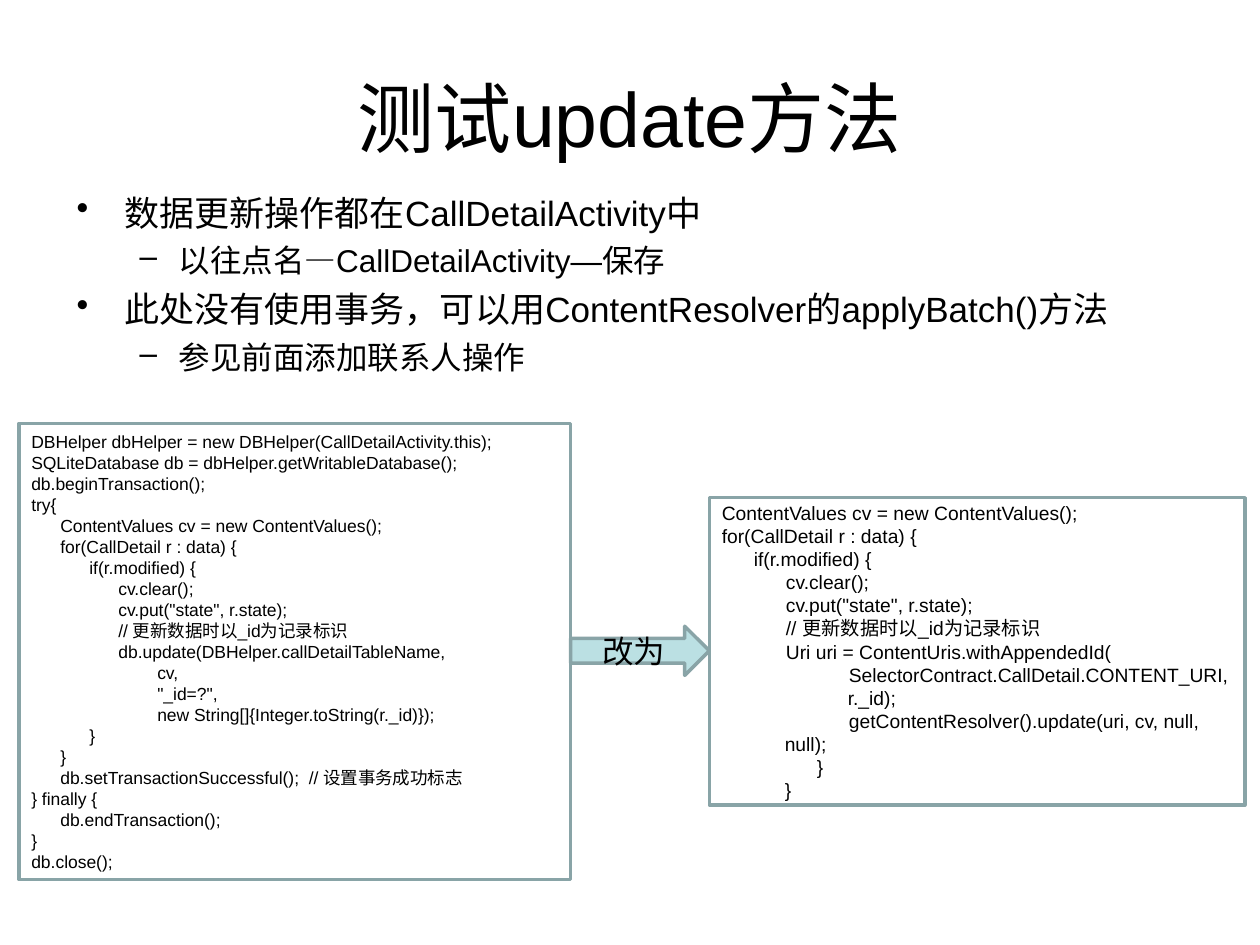
from pptx import Presentation
from pptx.dml.color import RGBColor
from pptx.enum.shapes import MSO_SHAPE
from pptx.enum.text import MSO_ANCHOR, PP_ALIGN
from pptx.oxml.xmlchemy import OxmlElement
from pptx.util import Inches, Pt

BLACK = RGBColor(0x00, 0x00, 0x00)
TEAL = RGBColor(0x89, 0xA4, 0xA7)
PALE = RGBColor(0xBB, 0xE0, 0xE3)
RECT = MSO_SHAPE.RECTANGLE
ARROW = MSO_SHAPE.RIGHT_ARROW
LEFT, CENTER = PP_ALIGN.LEFT, PP_ALIGN.CENTER
TOP, MIDDLE = MSO_ANCHOR.TOP, MSO_ANCHOR.MIDDLE

POINTS = [
    (0, "数据更新操作都在CallDetailActivity中"),
    (1, "以往点名—CallDetailActivity—保存"),
    (0, "此处没有使用事务，可以用ContentResolver的applyBatch()方法"),
    (1, "参见前面添加联系人操作"),
]
LEVELS = [("•", 20, 5, 0.38, 0.38), ("–", 18, 4.5, 0.81, 0.31)]

OLD = """DBHelper dbHelper = new DBHelper(CallDetailActivity.this);
SQLiteDatabase db = dbHelper.getWritableDatabase();
db.beginTransaction();
try{
      ContentValues cv = new ContentValues();
      for(CallDetail r : data) {
            if(r.modified) {
                  cv.clear();
                  cv.put("state", r.state);
                  // 更新数据时以_id为记录标识
                  db.update(DBHelper.callDetailTableName,
\tcv,
\t"_id=?",
\tnew String[]{Integer.toString(r._id)});
            }
      }
      db.setTransactionSuccessful();  // 设置事务成功标志
} finally {
      db.endTransaction();
}
db.close();"""

NEW = """ContentValues cv = new ContentValues();
for(CallDetail r : data) {
      if(r.modified) {
            cv.clear();
            cv.put("state", r.state);
            // 更新数据时以_id为记录标识
            Uri uri = ContentUris.withAppendedId("""
NESTED = """            SelectorContract.CallDetail.CONTENT_URI, \tr._id);
            getContentResolver().update(uri, cv, null, null);
      }
}"""


class Deck:
    font = "Arial"

    def __init__(self):
        self.prs = Presentation()
        self.prs.slide_width, self.prs.slide_height = Inches(10), Inches(7.5)
        self.slide = self.prs.slides.add_slide(self.prs.slide_layouts[6])

    def style(self, para, size, align=LEFT):
        para.alignment = align
        for run in para.runs:
            run.font.name = self.font
            run.font.size = Pt(size)
            run.font.color.rgb = BLACK

    def indent(self, para, left, hang=0):
        props = para._p.get_or_add_pPr()
        props.set("marL", str(Inches(left)))
        props.set("indent", str(-Inches(hang)))
        return props

    def tabs(self, para):
        stops = OxmlElement("a:tabLst")
        for inch in range(8):
            stop = OxmlElement("a:tab")
            stop.set("pos", str(Inches(inch)))
            stop.set("algn", "l")
            stops.append(stop)
        para._p.get_or_add_pPr().append(stops)

    def text(self, box, text, anchor):
        frame = box.text_frame
        frame.word_wrap = True
        frame.vertical_anchor = anchor
        frame.text = text
        return frame.paragraphs

    def title(self, text, *area):
        box = self.slide.shapes.add_textbox(*map(Inches, area))
        for para in self.text(box, text, MIDDLE):
            self.style(para, 44, CENTER)

    def bullets(self, items, *area):
        box = self.slide.shapes.add_textbox(*map(Inches, area))
        paras = self.text(box, "\n".join(text for _, text in items), TOP)
        for num, (para, (level, _)) in enumerate(zip(paras, items)):
            mark, size, gap, left, hang = LEVELS[level]
            para.level = level
            bullet = OxmlElement("a:buChar")
            bullet.set("char", mark)
            self.indent(para, left, hang).append(bullet)
            if num:
                para.space_before = Pt(gap)
            self.style(para, size)

    def shape(self, kind, area, fill=None):
        shape = self.slide.shapes.add_shape(kind, *map(Inches, area))
        shape.shadow.inherit = False
        if fill is None:
            shape.fill.background()
        else:
            shape.fill.solid()
            shape.fill.fore_color.rgb = fill
        shape.line.color.rgb = TEAL
        shape.line.width = Pt(2)
        return shape

    def code(self, text, size, *area, nested=""):
        full = f"{text}\n{nested}" if nested else text
        paras = self.text(self.shape(RECT, area), full, MIDDLE)
        first = len(text.splitlines())
        for num, para in enumerate(paras):
            if num >= first:
                para.level = 1
                self.indent(para, 0.5)
            self.tabs(para)
            self.style(para, size)

    def arrow(self, text, *area):
        for para in self.text(self.shape(ARROW, area, PALE), text, MIDDLE):
            self.style(para, 18, CENTER)


def main():
    deck = Deck()
    deck.title("测试update方法", 0.5, 0.3, 9, 1.25)
    deck.bullets(POINTS, 0.51, 1.47, 9, 1.65)
    deck.code(NEW, 11, 5.63, 3.95, 4.25, 2.44, nested=NESTED)
    deck.code(OLD, 10, 0.15, 3.36, 4.38, 3.62)
    deck.arrow("改为", 4.53, 4.97, 1.1, 0.39)
    deck.prs.save("out.pptx")


if __name__ == "__main__":
    main()
